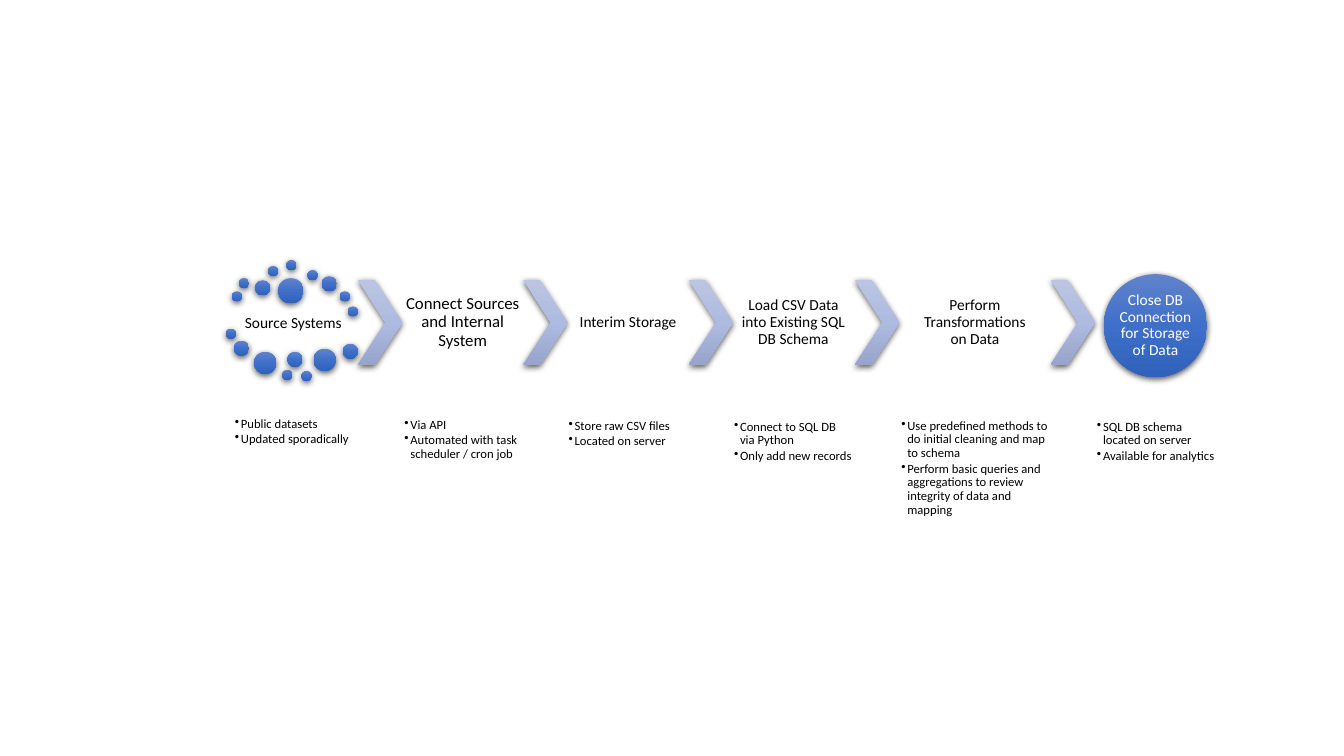
from copy import deepcopy
from lxml.etree import SubElement as Sub
from pptx import Presentation
from pptx.dml.color import RGBColor as Rgb
from pptx.enum.shapes import MSO_SHAPE as Form
from pptx.enum.text import MSO_ANCHOR as Anchor, PP_ALIGN as Align
from pptx.oxml.ns import qn
from pptx.util import Inches, Pt

BLACK = Rgb(0, 0, 0)
WHITE = Rgb(255, 255, 255)
BLUES = [Rgb(0x61, 0x83, 0xCB), Rgb(0x3E, 0x70, 0xCA), Rgb(0x30, 0x62, 0xBB)]
PALES = [Rgb(0xBB, 0xC5, 0xE3), Rgb(0xAE, 0xBB, 0xE0), Rgb(0x98, 0xA4, 0xCB)]

ROW, TALL, WIDE, GAP = 2.78, 0.84, 1.2, 0.44
SPAN = 1.22

DOTS = {
    0.1: [(2.3, 2.89), (2.37, 2.76), (2.66, 2.64), (2.84, 2.58), (3.05, 2.68),
          (3.37, 2.89), (3.45, 3.04), (2.24, 3.26), (2.8, 3.67), (2.99, 3.68)],
    0.15: [(2.53, 2.78), (3.19, 2.74), (2.32, 3.38), (2.85, 3.49), (3.4, 3.41)],
    0.22: [(2.52, 3.49), (3.11, 3.46)],
    0.25: [(2.76, 2.76)],
}

ARROWS = [3.55, 5.19, 6.83, 8.48, 10.42]

LABELS = [
    ("Source Systems", (2.31, 3.01, WIDE, 0.4), {}),
    ("Connect Sources and Internal System", (3.99, ROW, WIDE, TALL), {"size": 12}),
    ("Interim Storage", (5.63, ROW, WIDE, TALL), {}),
    ("Load CSV Data into Existing SQL DB Schema", (7.27, ROW, WIDE, TALL), {}),
    ("Perform Transformations on Data", (9.07, ROW, WIDE, TALL), {}),
    ("Close DB Connection for Storage of Data", (11.1, 2.87, 0.72, 0.72),
     {"color": WHITE, "inset": 0}),
]

LISTS = [
    ((2.31, 4.12, SPAN, 0.74), ["Public datasets", "Updated sporadically"]),
    ((3.99, 4.13, SPAN, 0.74),
     ["Via API", "Automated with task scheduler / cron job"]),
    ((5.62, 4.14, SPAN, 0.74), ["Store raw CSV files", "Located on server"]),
    ((7.26, 4.15, SPAN, 0.74),
     ["Connect to SQL DB via Python", "Only add new records"]),
    ((8.92, 4.14, 1.5, 1.15),
     ["Use predefined methods to do initial cleaning and map to schema",
      "Perform basic queries and aggregations to review integrity of data"
      " and mapping"]),
    ((10.86, 4.15, SPAN, 0.74),
     ["SQL DB schema located on server", "Available for analytics"]),
]


def place(box):
    """Turn a box of inches into lengths."""
    return [Inches(side) for side in box]


def shade(shape):
    """Give a shape a soft shadow below."""
    shape.shadow.inherit = False
    holder = shape._element.spPr.find(qn("a:effectLst"))
    outer = Sub(holder, qn("a:outerShdw"), blurRad=str(Pt(4.5)),
                dist=str(Pt(1.5)), dir="5400000", algn="ctr", rotWithShape="0")
    color = Sub(outer, qn("a:srgbClr"), val="000000")
    Sub(color, qn("a:alpha"), val="63000")


def draw(slide, form, box, colors):
    """Add a shape with a vertical gradient of three colours."""
    shape = slide.shapes.add_shape(form, *place(box))
    shape.line.fill.background()
    fill = shape.fill
    fill.gradient()
    fill.gradient_angle = 270
    stops = shape._element.spPr.find(".//" + qn("a:gsLst"))
    stops.append(deepcopy(stops[-1]))
    for stop, color, spot in zip(fill.gradient_stops, colors, (0, 0.5, 1)):
        stop.color.rgb = color
        stop.position = spot
    shade(shape)
    return shape


def bullet(para):
    """Give a paragraph a hanging bullet."""
    para.level = 1
    props = para._p.get_or_add_pPr()
    props.set("marL", str(Inches(0.06)))
    props.set("indent", str(Inches(-0.06)))
    Sub(props, qn("a:buChar"), char="•")


def write(slide, box, lines, size=11, color=BLACK, inset=0.02,
          anchor=Anchor.MIDDLE, align=Align.CENTER, after=0, listed=False):
    """Add a text box with one paragraph per line."""
    frame = slide.shapes.add_textbox(*place(box)).text_frame
    frame.word_wrap = True
    frame.vertical_anchor = anchor
    frame.margin_left = frame.margin_right = Inches(inset)
    frame.margin_top = frame.margin_bottom = Inches(inset)
    frame.text = "\n".join(lines)
    for para in frame.paragraphs:
        para.alignment = align
        para.line_spacing = 0.9
        para.space_after = Pt(after)
        font = para.runs[0].font
        font.name = "Calibri"
        font.size = Pt(size)
        font.color.rgb = color
        if listed:
            bullet(para)


def main():
    """Build the data pipeline slide."""
    deck = Presentation()
    deck.slide_width, deck.slide_height = Inches(13.33), Inches(7.5)
    slide = deck.slides.add_slide(deck.slide_layouts[6])
    for size, spots in DOTS.items():
        for left, top in spots:
            draw(slide, Form.OVAL, (left, top, size, size), BLUES)
    for left in ARROWS:
        arrow = draw(slide, Form.CHEVRON, (left, ROW, GAP, TALL), PALES)
        arrow.adjustments[0] = 0.62
    draw(slide, Form.OVAL, (10.95, 2.72, 1.02, 1.02), BLUES)
    for label, box, style in LABELS:
        write(slide, box, [label], **style)
    for box, lines in LISTS:
        write(slide, box, lines, size=9, anchor=Anchor.TOP, align=Align.LEFT,
              after=1.35, listed=True)
    deck.save("out.pptx")


if __name__ == "__main__":
    main()
